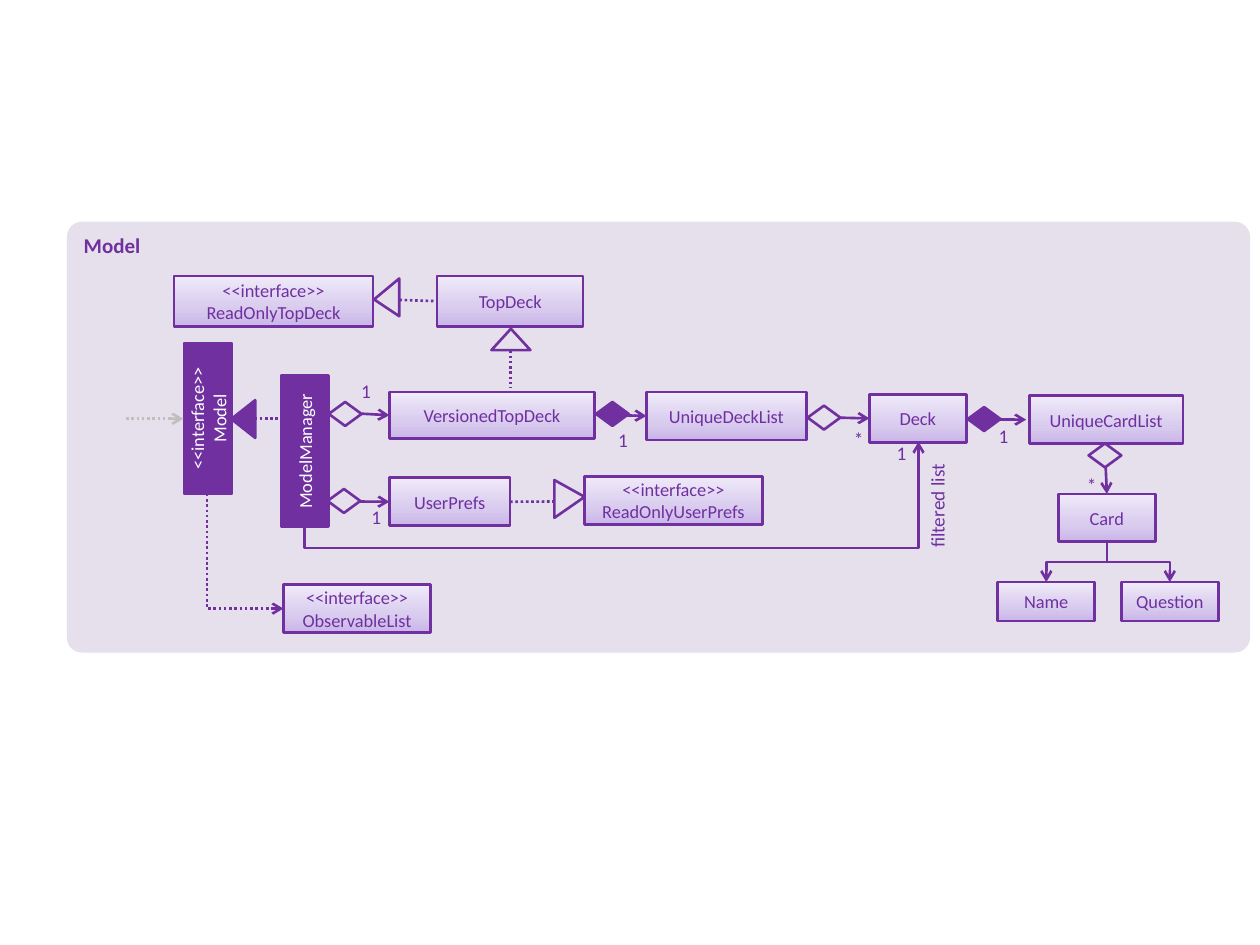
from copy import deepcopy

from pptx import Presentation
from pptx.dml.color import RGBColor
from pptx.enum.dml import MSO_LINE
from pptx.enum.shapes import MSO_CONNECTOR, MSO_SHAPE
from pptx.enum.text import MSO_ANCHOR, PP_ALIGN
from pptx.oxml.ns import qn
from pptx.util import Pt
from lxml.etree import SubElement

COLORS = {
    "purple": "7030A0", "panel": "E6E0EC", "white": "FFFFFF", "gray": "BFBFBF",
    "dark": "C9B5E8", "middle": "D8CBEE", "light": "F0EAF9",
}
FONT = "Calibri"
TOP, LEFT, RIGHT = 0, 1, 3  # connection sites of a rectangle
DIAMOND_SIZE = (18.7, 13.7)

# name: left, top, width, height, text
CLASSES = {
    "prefs": (222.5, 273, 69, 27.4, "UserPrefs"),
    "versioned": (222.5, 224, 117.4, 26.6, "VersionedTopDeck"),
    "deck_list": (369.4, 224, 91.4, 27.4, "UniqueDeckList"),
    "deck": (496.8, 225.4, 55.4, 27.4, "Deck"),
    "read_only_deck": (99.4, 157.7, 113.8, 28.8, "<<interface>>\vReadOnlyTopDeck"),
    "top_deck": (249.8, 157.7, 83.5, 28.8, "TopDeck"),
    "observable": (162, 334.1, 84.2, 27.4, "<<interface>>\vObservableList"),
    "read_only_prefs": (334.1, 272.2, 101.5, 27.4, "<<interface>>\nReadOnlyUserPrefs"),
    "card_list": (588.2, 226.1, 87.8, 27.4, "UniqueCardList"),
    "card": (604.8, 282.2, 55.4, 27.4, "Card"),
    "name": (570.2, 332.6, 55.4, 22.3, "Name"),
    "question": (640.8, 332.6, 55.4, 22.3, "Question"),
}
# left, top, text of the upright bars, given before their quarter turn
BARS = [(131, 244.1, "ModelManager"), (75.6, 225.4, "<<interface>>\nModel")]
# left, top, fill
DIAMONDS = [
    (187.2, 279.4, None), (187.9, 229.7, None), (340.6, 229.7, "purple"),
    (461.5, 231.8, None), (553, 232.6, "purple"), (622.1, 253.4, None),
]
# left, top, width, height, rotation, apex position, fill
TRIANGLES = [
    (128.2, 232.6, 21.6, 13.7, 270, 0.5, "purple"),
    (280.8, 187.9, 22.3, 12.2, 0, 0.5, "panel"),
    (210.2, 162.7, 21.6, 14.4, 270, 0.445, "panel"),
    (314.6, 276.5, 21.6, 17.3, 90, 0.445, "panel"),
]
# left, top, width, height, text
MULTIPLICITIES = [
    (348.5, 244.8, 15.1, 14.4, "1"), (483.1, 244.1, 15.1, 14.4, "*"),
    (202.3, 216.7, 13.7, 10.8, "1"), (207.4, 288.7, 15.1, 14.4, "1"),
    (507.6, 252, 15.1, 14.4, "1"), (616.3, 270.7, 15.1, 14.4, "*"),
    (565.9, 242.6, 15.1, 14.4, "1"),
]


def rgb(name):
    return RGBColor.from_string(COLORS[name])


def write_text(box, text, size, color, align=PP_ALIGN.CENTER, bold=False):
    box.text_frame.text = text
    box.text_frame.word_wrap = True
    for para in box.text_frame.paragraphs:
        para.alignment = align
        for span in para.runs:
            span.font.name, span.font.size, span.font.bold = FONT, Pt(size), bold
            span.font.color.rgb = rgb(color)


def add_outlined(page, kind, frame, fill=None, rotation=0):
    shape = page.shapes.add_shape(kind, *map(Pt, frame))
    shape.shadow.inherit = False
    shape.rotation = rotation
    shape.line.color.rgb, shape.line.width = rgb("purple"), Pt(1.5)
    if fill:
        shape.fill.solid()
        shape.fill.fore_color.rgb = rgb(fill)
    else:
        shape.fill.background()
    return shape


def shade(shape):
    """Fill with three stops, dark at the bottom."""
    shape.fill.gradient()
    shape.fill.gradient_angle = 90
    stop_list = shape._element.spPr.find(qn("a:gradFill")).find(qn("a:gsLst"))
    stop_list.insert(1, deepcopy(stop_list[0]))
    stops = zip(shape.fill.gradient_stops, (0, 0.35, 1), ("dark", "middle", "light"))
    for stop, position, color in stops:
        stop.position = position
        stop.color.rgb = rgb(color)


def add_panel(page):
    panel = page.shapes.add_shape(
        MSO_SHAPE.ROUNDED_RECTANGLE, Pt(38.2), Pt(126.7), Pt(676.1), Pt(246.2))
    panel.adjustments[0] = 0.035
    panel.shadow.inherit = False
    panel.fill.solid()
    panel.fill.fore_color.rgb = rgb("panel")
    panel.line.fill.background()
    panel.text_frame.vertical_anchor = MSO_ANCHOR.TOP
    write_text(panel, "Model", 12, "purple", PP_ALIGN.LEFT, bold=True)


def add_class(page, left, top, width, height, text):
    box = add_outlined(page, MSO_SHAPE.RECTANGLE, (left, top, width, height))
    shade(box)
    write_text(box, text, 10.5, "purple")
    return box


def add_label(page, frame, text, margin=0):
    label = page.shapes.add_textbox(*map(Pt, frame))
    write_text(label, text, 11, "purple")
    text_frame = label.text_frame
    text_frame.margin_left = text_frame.margin_right = Pt(2 * margin)
    text_frame.margin_top = text_frame.margin_bottom = Pt(margin)
    return label


def style_line(line, color="purple", dotted=False, arrow=True):
    SubElement(line._element.spPr, qn("a:effectLst"))
    line.line.color.rgb, line.line.width = rgb(color), Pt(1.5)
    if dotted:
        line.line.dash_style = MSO_LINE.ROUND_DOT
    if arrow:
        SubElement(line.line._get_or_add_ln(), qn("a:tailEnd"), type="arrow")


def add_line(page, start, end, begin=None, finish=None, **style):
    line = page.shapes.add_connector(MSO_CONNECTOR.STRAIGHT, *map(Pt, start + end))
    if begin:
        line.begin_connect(*begin)
    if finish:
        line.end_connect(*finish)
    style_line(line, **style)


def add_elbow(page, start, end, bend=0.5, corners=2, **style):
    """Draw a bent arrow that leaves its start vertically."""
    (x1, y1), (x2, y2) = start, end
    middle_x, middle_y = (x1 + x2) / 2, (y1 + y2) / 2
    half_width, half_height = abs(y2 - y1) / 2, abs(x2 - x1) / 2
    if x2 > x1 and y2 > y1:
        half_width = -half_width  # begins at the right, so it is mirrored
    elbow = page.shapes.add_connector(
        MSO_CONNECTOR.ELBOW,
        Pt(middle_x - half_width), Pt(middle_y - half_height),
        Pt(middle_x + half_width), Pt(middle_y + half_height))
    properties = elbow._element.spPr
    turn = 90 if x2 < x1 else 270
    properties.find(qn("a:xfrm")).set("rot", str(turn * 60000))
    geometry = properties.find(qn("a:prstGeom"))
    geometry.set("prst", f"bentConnector{corners + 1}")
    if corners == 2:
        SubElement(geometry.find(qn("a:avLst")), qn("a:gd"),
                   name="adj1", fmla=f"val {round(bend * 100000)}")
    style_line(elbow, **style)


def add_relations(page, boxes):
    # Associations
    add_line(page, (205.2, 286.6), (222.5, 286.7), finish=(boxes["prefs"], LEFT))
    add_line(page, (206.6, 236.4), (222.5, 237.3), finish=(boxes["versioned"], LEFT))
    add_line(page, (340.6, 236.9), (369.4, 237.7), finish=(boxes["deck_list"], LEFT))
    add_line(page, (480.2, 238.7), (496.8, 239.1), finish=(boxes["deck"], LEFT))
    add_line(page, (571.7, 239.8), (586.4, 239.8))
    add_line(page, (631.8, 266.4), (632.5, 282.2), finish=(boxes["card"], TOP))
    add_elbow(page, (174.2, 301), (524.9, 252.4), bend=-0.25)
    for left in (597.9, 668.5):
        add_elbow(page, (632.5, 309.6), (left, 332.6))
    # Dependencies and realizations
    add_line(page, (72, 239.3), (104.8, 239.3), color="gray", dotted=True)
    add_elbow(page, (118.4, 282.2), (162, 347.8), corners=1, dotted=True)
    plain = {"dotted": True, "arrow": False}
    add_line(page, (145.4, 239.3), (162.7, 239.3), **plain)
    add_line(page, (291.6, 200.2), (291.6, 221.8), **plain)
    add_line(page, (228.2, 171.4), (249.8, 172.1),
             finish=(boxes["top_deck"], LEFT), **plain)
    add_line(page, (291.5, 286.7), (316.1, 286.6),
             begin=(boxes["prefs"], RIGHT), **plain)


def main():
    deck = Presentation()
    deck.slide_width, deck.slide_height = Pt(720), Pt(540)
    page = deck.slides.add_slide(deck.slide_layouts[6])

    # Classes
    add_panel(page)
    boxes = {name: add_class(page, *entry) for name, entry in CLASSES.items()}
    for left, top, text in BARS:
        bar = add_outlined(page, MSO_SHAPE.RECTANGLE, (left, top, 86.4, 27.4), "purple", 270)
        write_text(bar, text, 10.5, "white")

    # Lines and their end symbols
    add_relations(page, boxes)
    for left, top, fill in DIAMONDS:
        add_outlined(page, MSO_SHAPE.FLOWCHART_DECISION, (left, top, *DIAMOND_SIZE), fill)
    for *frame, rotation, apex, fill in TRIANGLES:
        triangle = add_outlined(page, MSO_SHAPE.ISOSCELES_TRIANGLE, frame, fill, rotation)
        triangle.adjustments[0] = apex

    # Labels
    for *frame, text in MULTIPLICITIES:
        add_label(page, frame, text)
    role = add_label(page, (501.1, 282.2, 69.1, 20.9), "filtered list", margin=3.6)
    role.text_frame.paragraphs[0].alignment = PP_ALIGN.RIGHT
    role.rotation = 270

    deck.save("out.pptx")


if __name__ == "__main__":
    main()
